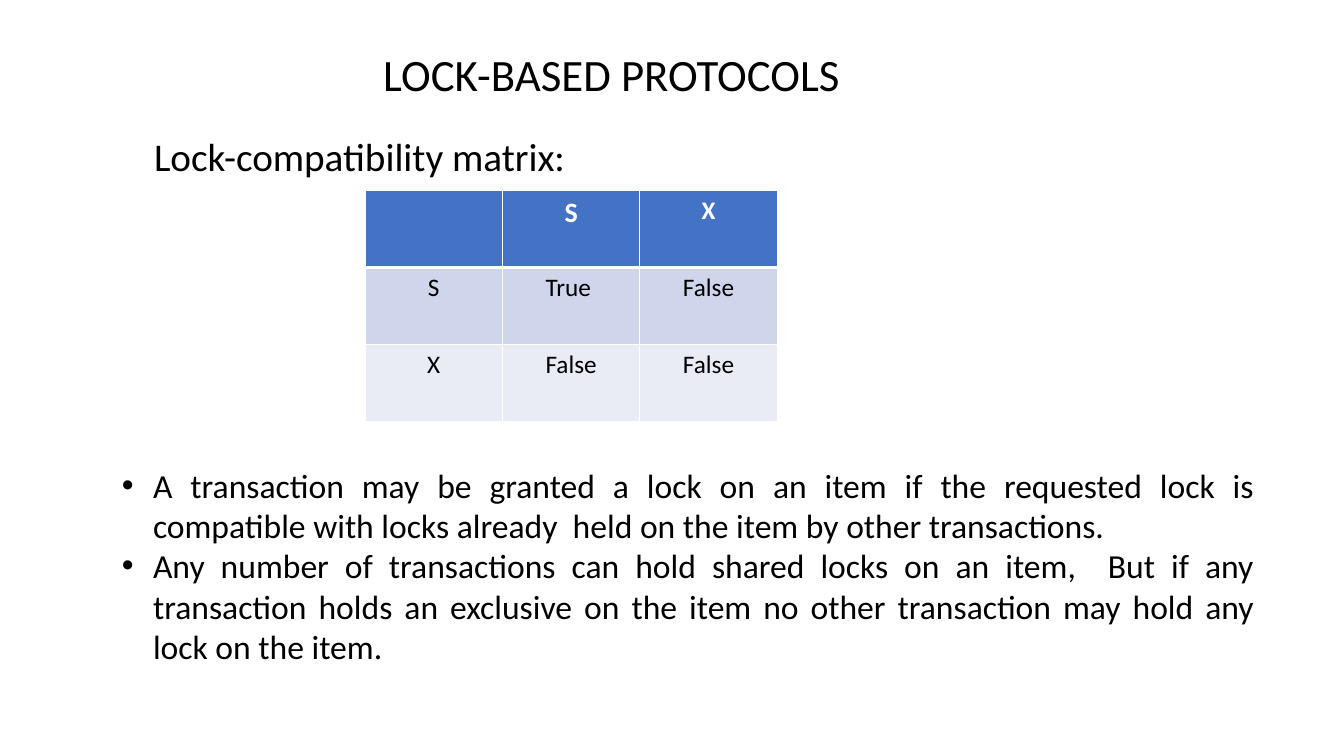
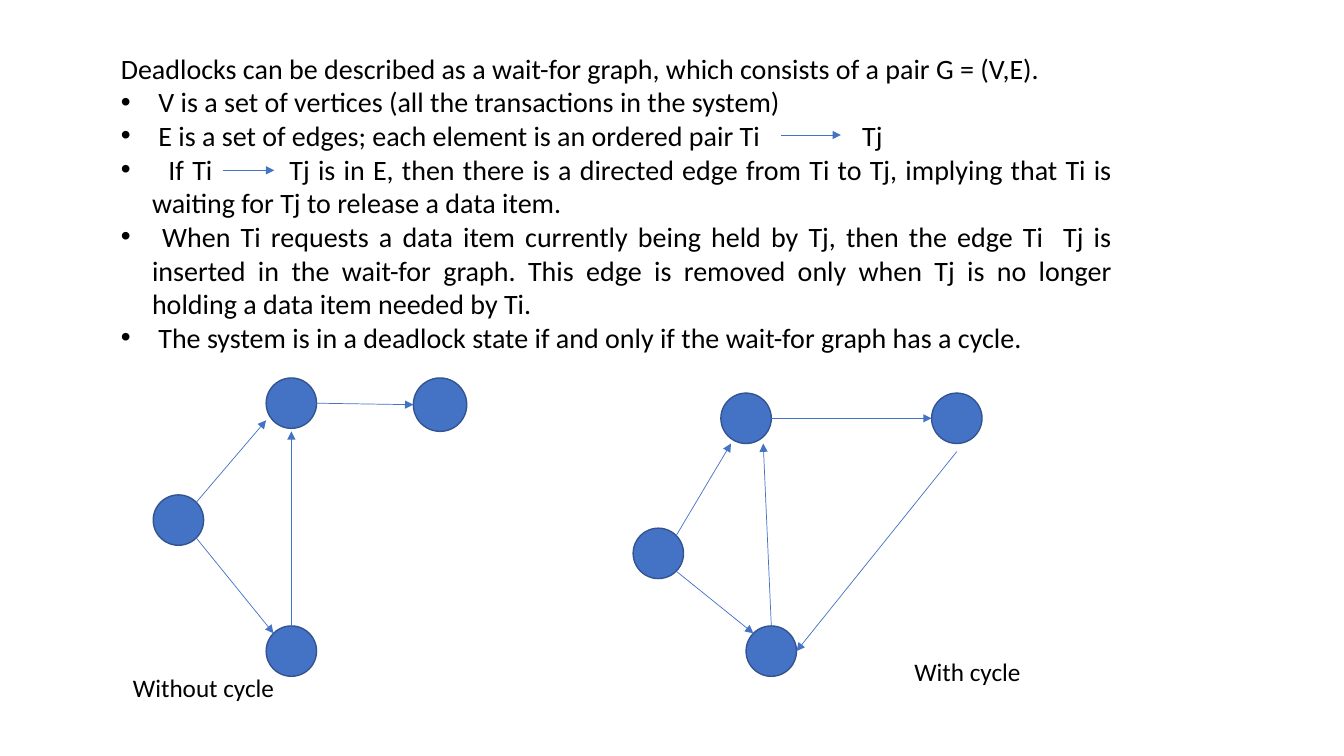
from dataclasses import dataclass
from math import cos, radians, sin

from lxml.etree import SubElement
from pptx import Presentation
from pptx.dml.color import RGBColor
from pptx.enum.shapes import MSO_CONNECTOR, MSO_SHAPE
from pptx.enum.text import PP_ALIGN
from pptx.oxml.ns import qn
from pptx.slide import Slide
from pptx.util import Inches, Pt

# Shared style
FONT = "Calibri"
BLACK = RGBColor(0x00, 0x00, 0x00)
WHITE = RGBColor(0xFF, 0xFF, 0xFF)
BLUE = RGBColor(0x44, 0x72, 0xC4)
DARK_BLUE = RGBColor(0x32, 0x54, 0x91)
ROW_FILLS = (BLUE, RGBColor(0xCF, 0xD5, 0xEA), RGBColor(0xE9, 0xEB, 0xF5))
BULLET_INDENT = Inches(0.31)

Point = tuple[float, float]


@dataclass(frozen=True)
class Box:
    left: float
    top: float
    width: float
    height: float

    def lengths(self) -> list[int]:
        return [Inches(v) for v in (self.left, self.top, self.width, self.height)]


@dataclass(frozen=True)
class Line:
    """A paragraph; gap (points) leaves room for an arrow before the tail."""
    text: str
    bullet: bool = False
    align: PP_ALIGN = PP_ALIGN.LEFT
    gap: int = 0
    tail: str = ""


@dataclass(frozen=True)
class Node:
    left: float
    top: float
    size: float = 0.5

    def rim(self, degrees: float) -> Point:
        """Point on the outline, counted anticlockwise from the right."""
        radius, angle = self.size / 2, radians(degrees)
        return (self.left + radius + radius * cos(angle),
                self.top + radius - radius * sin(angle))


@dataclass(frozen=True)
class Edge:
    start: Point
    end: Point


@dataclass(frozen=True)
class Graph:
    caption: str
    caption_box: Box
    nodes: tuple[Node, ...]
    edges: tuple[Edge, ...]


def add_bullet(paragraph) -> None:
    props = paragraph._p.get_or_add_pPr()
    props.set("marL", str(BULLET_INDENT))
    props.set("indent", str(-BULLET_INDENT))
    SubElement(props, qn("a:buFont"), typeface="Arial")
    SubElement(props, qn("a:buChar"), char="•")


def style_runs(paragraph, size: float, color: RGBColor = BLACK, bold: bool = False) -> None:
    for run in paragraph.runs:
        run.font.name = FONT
        run.font.size = Pt(size)
        run.font.bold = bold
        run.font.color.rgb = color


def add_text(slide: Slide, box: Box, size: float, lines: tuple[Line, ...],
             wrap: bool = True) -> None:
    frame = slide.shapes.add_textbox(*box.lengths()).text_frame
    frame.word_wrap = wrap
    for index, line in enumerate(lines):
        paragraph = frame.add_paragraph() if index else frame.paragraphs[0]
        paragraph.text = line.text
        paragraph.alignment = line.align
        if line.bullet:
            add_bullet(paragraph)
        if line.gap:
            spacer = paragraph.add_run()
            spacer.text = " "
            spacer._r.get_or_add_rPr().set("spc", str(line.gap * 100))
            paragraph.add_run().text = line.tail
        style_runs(paragraph, size)


def add_arrow(slide: Slide, edge: Edge) -> None:
    ends = [Inches(v) for v in (*edge.start, *edge.end)]
    arrow = slide.shapes.add_connector(MSO_CONNECTOR.STRAIGHT, *ends)
    arrow.line.color.rgb = BLUE
    arrow.line.width = Pt(0.5)
    SubElement(arrow.line._get_or_add_ln(), qn("a:tailEnd"), type="triangle")
    SubElement(arrow._element.spPr, qn("a:effectLst"))


def add_node(slide: Slide, node: Node) -> None:
    box = Box(node.left, node.top, node.size, node.size)
    circle = slide.shapes.add_shape(MSO_SHAPE.FLOWCHART_CONNECTOR, *box.lengths())
    circle.shadow.inherit = False
    circle.fill.solid()
    circle.fill.fore_color.rgb = BLUE
    circle.line.color.rgb = DARK_BLUE
    circle.line.width = Pt(1)


def add_graph(slide: Slide, graph: Graph) -> None:
    for node in graph.nodes:
        add_node(slide, node)
    for edge in graph.edges:
        add_arrow(slide, edge)
    add_text(slide, graph.caption_box, 18, (Line(graph.caption),), wrap=False)


def set_borders(cell, bottom: float) -> None:
    props = cell._tc.get_or_add_tcPr()
    for side, width in (("lnL", 1), ("lnR", 1), ("lnT", 1), ("lnB", bottom)):
        border = SubElement(props, qn(f"a:{side}"), w=str(Pt(width)))
        fill = SubElement(border, qn("a:solidFill"))
        SubElement(fill, qn("a:srgbClr"), val=str(WHITE))


def add_matrix(slide: Slide, box: Box, rows: tuple[tuple[str, ...], ...]) -> None:
    matrix = slide.shapes.add_table(len(rows), len(rows[0]), *box.lengths()).table
    for r, row in enumerate(rows):
        header = r == 0
        for c, label in enumerate(row):
            cell = matrix.cell(r, c)
            set_borders(cell, 3 if header else 1)
            cell.fill.solid()
            cell.fill.fore_color.rgb = ROW_FILLS[r]
            cell.text_frame.text = label
            paragraph = cell.text_frame.paragraphs[0]
            paragraph.alignment = PP_ALIGN.CENTER
            size = 20 if header and c == 1 else 18
            style_runs(paragraph, size, WHITE if header else BLACK, header)


def bullet(text: str, gap: int = 0, tail: str = "") -> Line:
    return Line(text, True, PP_ALIGN.JUSTIFY, gap, tail)


# Slide 1: lock compatibility
MATRIX = (("", "S", "X"), ("S", "True ", "False"), ("X", "False", "False"))
LOCK_RULES = (
    bullet("A transaction may be granted a lock on an item if the requested lock is "
           "compatible with locks already  held on the item by other transactions."),
    bullet("Any number of transactions can hold shared locks on an item,  But if any "
           "transaction holds an exclusive on the item no other transaction may hold "
           "any lock on the item."),
)


def build_lock_slide(slide: Slide) -> None:
    add_text(slide, Box(1.82, 0.41, 8.49, 0.94), 32,
             (Line("LOCK-BASED PROTOCOLS", align=PP_ALIGN.CENTER),))
    add_text(slide, Box(1.43, 1.26, 4.34, 0.88), 28,
             (Line("Lock-compatibility matrix:"),), wrap=False)
    add_matrix(slide, Box(3.62, 1.89, 4.09, 2.29), MATRIX)
    add_text(slide, Box(1.11, 4.56, 11.43, 2.12), 24, LOCK_RULES)


# Slide 2: wait-for graphs
WAIT_FOR_RULES = (
    Line("Deadlocks can be described as a wait-for graph, which consists of a pair "
         "G = (V,E).", align=PP_ALIGN.JUSTIFY),
    bullet(" V is a set of vertices (all the transactions in the system)"),
    bullet(" E is a set of edges; each element is an ordered pair Ti", 68, "Tj"),
    bullet("  If Ti", 49, "Tj is in E, then there is a directed edge from Ti to Tj, "
           "implying that Ti is waiting for Tj to release a data item."),
    bullet(" When Ti requests a data item currently being held by Tj, then the edge "
           "Ti  Tj is inserted in the wait-for graph. This edge is removed only when "
           "Tj is no longer holding a data item needed by Ti."),
    bullet(" The system is in a deadlock state if and only if the wait-for graph has "
           "a cycle."),
)
PAIR_ARROWS = (Edge((7.75, 1.34), (8.34, 1.34)), Edge((2.21, 1.69), (2.72, 1.69)))


def acyclic_graph() -> Graph:
    top, right = Node(2.64, 3.75), Node(4.1, 3.75, 0.53)
    left, bottom = Node(1.52, 4.91), Node(2.64, 6.21)
    edges = (
        Edge(top.rim(0), right.rim(180)),
        Edge(left.rim(45), (2.64, 4.17)),
        Edge(left.rim(-45), bottom.rim(135)),
        Edge(bottom.rim(90), (2.89, 4.28)),
    )
    return Graph("Without cycle", Box(1.22, 6.62, 1.62, 0.4),
                 (right, top, left, bottom), edges)


def cyclic_graph() -> Graph:
    top, right = Node(7.15, 3.9), Node(9.24, 3.9)
    left, bottom = Node(6.28, 5.24), Node(7.4, 6.21)
    edges = (
        Edge(top.rim(0), right.rim(180)),
        Edge(left.rim(45), (7.25, 4.4)),
        Edge(left.rim(-45), bottom.rim(135)),
        Edge(bottom.rim(90), (7.57, 4.4)),
        Edge((9.49, 4.48), bottom.rim(0)),
    )
    return Graph("With cycle", Box(8.97, 6.46, 1.27, 0.4),
                 (top, right, bottom, left), edges)


def build_deadlock_slide(slide: Slide) -> None:
    add_text(slide, Box(1.1, 0.46, 10.03, 4.41), 20, WAIT_FOR_RULES)
    for edge in PAIR_ARROWS:
        add_arrow(slide, edge)
    for graph in (acyclic_graph(), cyclic_graph()):
        add_graph(slide, graph)


def main() -> None:
    deck = Presentation()
    deck.slide_width, deck.slide_height = Inches(13.33), Inches(7.5)
    blank = deck.slide_layouts[6]
    for build in (build_lock_slide, build_deadlock_slide):
        build(deck.slides.add_slide(blank))
    deck.save("out.pptx")


if __name__ == "__main__":
    main()
